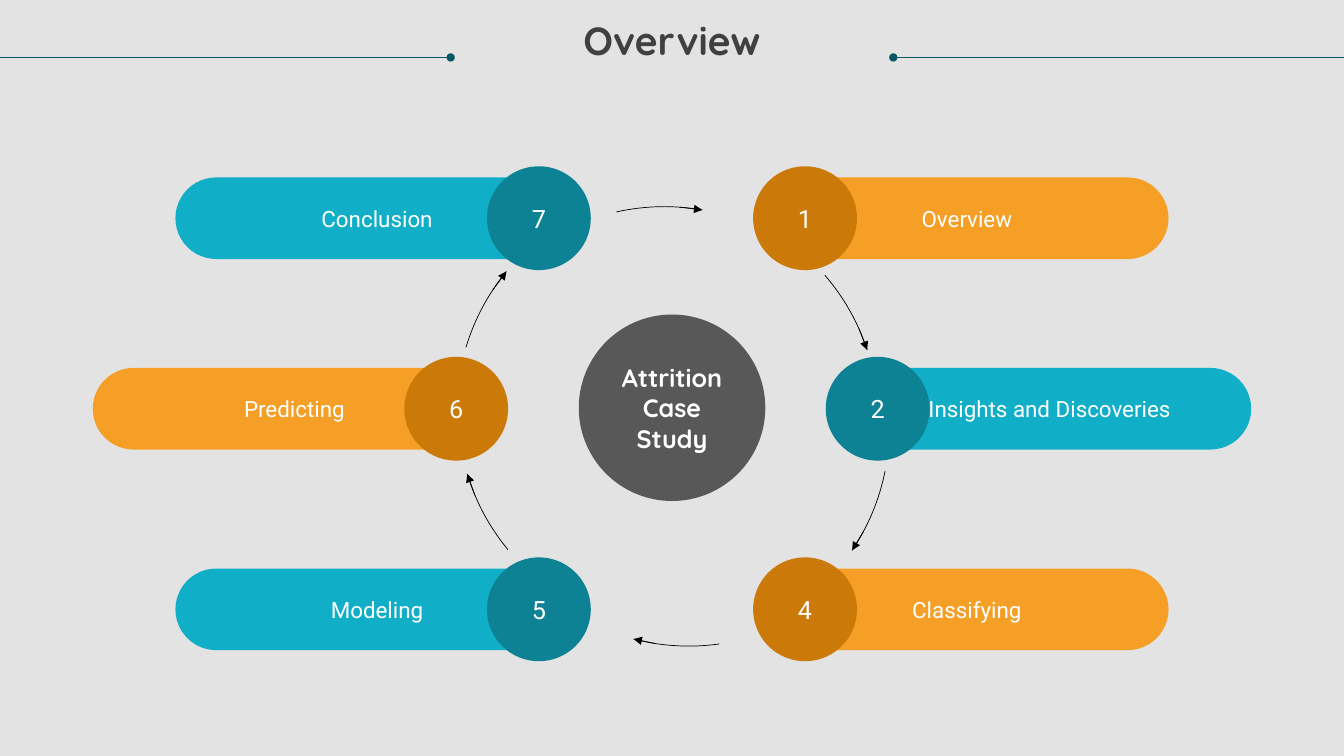
from math import cos, radians, sin

from lxml.etree import SubElement
from pptx import Presentation
from pptx.dml.color import RGBColor
from pptx.enum.shapes import MSO_CONNECTOR, MSO_SHAPE
from pptx.enum.text import MSO_ANCHOR, PP_ALIGN
from pptx.oxml.ns import qn
from pptx.util import Emu, Pt

EMU_PER_PX = 9144
SLIDE_W, SLIDE_H = 1333, 750

ORANGE, DARK_ORANGE = "F59F26", "CB7A09"
TEAL, DARK_TEAL = "11AEC7", "0D8295"
GREY, WHITE, BLACK = "585858", "FFFFFF", "000000"

PILL_W, PILL_H = 400, 81
BADGE = 103
ARC = 434
ARC_START, ARC_END = 306.62, 329.27
ARROW_SPAN = 6  # degrees of arc covered by each arrowhead line


def px(length):
    return Emu(round(length * EMU_PER_PX))


def color(hex_string):
    return RGBColor.from_string(hex_string)


def write(text_frame, text, size, font_name, hex_color, bold=False):
    text_frame.text = text
    paragraph = text_frame.paragraphs[0]
    paragraph.alignment = PP_ALIGN.CENTER
    font = paragraph.runs[0].font
    font.size, font.name, font.bold = Pt(size), font_name, bold
    font.color.rgb = color(hex_color)
    return paragraph


def add_block(slide, preset, box, fill):
    block = slide.shapes.add_shape(preset, *map(px, box))
    block.shadow.inherit = False
    block.fill.solid()
    block.fill.fore_color.rgb = color(fill)
    block.line.fill.background()
    return block


def add_line(shapes, start, end, hex_color, tip):
    line = shapes.add_connector(MSO_CONNECTOR.STRAIGHT, *map(px, (*start, *end)))
    line.line.color.rgb = color(hex_color)
    line.line.width = Pt(0.5)
    SubElement(line.line._get_or_add_ln(), qn("a:tailEnd"), type=tip)
    SubElement(line._element.spPr, qn("a:effectLst"))


def add_header(slide, left, top, width, height):
    rule_y, rule_w = top + 36, 447
    add_line(slide.shapes, (0, rule_y), (rule_w, rule_y), "085764", "oval")
    add_line(slide.shapes, (SLIDE_W, rule_y), (SLIDE_W - rule_w, rule_y), "085764", "oval")
    title = slide.shapes.add_textbox(*map(px, (left, top, width, height))).text_frame
    title.word_wrap = True
    title.vertical_anchor = MSO_ANCHOR.TOP
    title.margin_left = title.margin_right = title.margin_top = title.margin_bottom = 0
    write(title, "Overview", 28, "Quicksand", "404040", bold=True).line_spacing = 0.9


def add_hub(slide, left, top, size):
    hub = add_block(slide, MSO_SHAPE.OVAL, (left, top, size, size), GREY)
    write(hub.text_frame, "Attrition Case Study", 18, "Quicksand", WHITE, bold=True)


def add_topic(slide, left, top, number, label, colors, on_right, overhang=12):
    """Labelled pill whose number badge overhangs the end facing the hub."""
    pill_fill, badge_fill = colors
    pill = add_block(slide, MSO_SHAPE.ROUNDED_RECTANGLE, (left, top, PILL_W, PILL_H), pill_fill)
    pill.adjustments[0] = 0.5
    write(pill.text_frame, label, 16, "Roboto", WHITE)
    badge_left = left - overhang if on_right else left + PILL_W + overhang - BADGE
    badge_top = top - (BADGE - PILL_H) / 2
    badge = add_block(slide, MSO_SHAPE.OVAL, (badge_left, badge_top, BADGE, BADGE), badge_fill)
    write(badge.text_frame, number, 18, "Roboto", WHITE)


def add_curved_arrow(slide, left, top, rotation):
    group = slide.shapes.add_group_shape()
    arc = group.shapes.add_shape(MSO_SHAPE.ARC, *map(px, (left, top, ARC, ARC)))
    arc.shadow.inherit = False
    arc.fill.background()
    arc.line.color.rgb = color(BLACK)
    arc.line.width = Pt(0.5)
    # Arc adjustments count 60000ths of a degree, in units of 100000
    arc.adjustments[0] = ARC_START * 0.6
    arc.adjustments[1] = ARC_END * 0.6
    arc.rotation = rotation

    def point_at(degrees):
        angle, radius = radians(degrees + rotation), ARC / 2
        return left + radius + radius * cos(angle), top + radius + radius * sin(angle)

    add_line(group.shapes, point_at(ARC_END - ARROW_SPAN), point_at(ARC_END), BLACK, "triangle")


def build_overview(prs):
    slide = prs.slides.add_slide(prs.slide_layouts[6])
    slide.background.fill.solid()
    slide.background.fill.fore_color.rgb = color("E3E3E3")
    add_header(slide, 25, 21, 1283, 85)
    add_hub(slide, 574, 312, 185)

    orange, teal = (ORANGE, DARK_ORANGE), (TEAL, DARK_TEAL)
    outer_left, middle_left = 759, 841
    rows = [
        (176, outer_left, ("1", "Overview", orange), ("7", "Conclusion", teal), 12),
        (365, middle_left, ("2", "Insights and Discoveries", teal), ("6", "Predicting", orange), 22),
        (564, outer_left, ("4", "Classifying", orange), ("5", "Modeling", teal), 12),
    ]
    for top, left, right_topic, left_topic, right_overhang in rows:
        add_topic(slide, left, top, *right_topic, on_right=True, overhang=right_overhang)
        add_topic(slide, SLIDE_W - left - PILL_W, top, *left_topic, on_right=False)

    curved_arrows = [
        (442, 205, 310.7), (437, 198, 12.5), (448, 208, 64.6),
        (466, 207, 135.3), (454, 190, 193.8), (453, 190, 250.1),
    ]
    for left, top, rotation in curved_arrows:
        add_curved_arrow(slide, left, top, rotation)


def main():
    prs = Presentation()
    prs.slide_width, prs.slide_height = px(SLIDE_W), px(SLIDE_H)
    build_overview(prs)
    prs.save("out.pptx")


if __name__ == "__main__":
    main()
